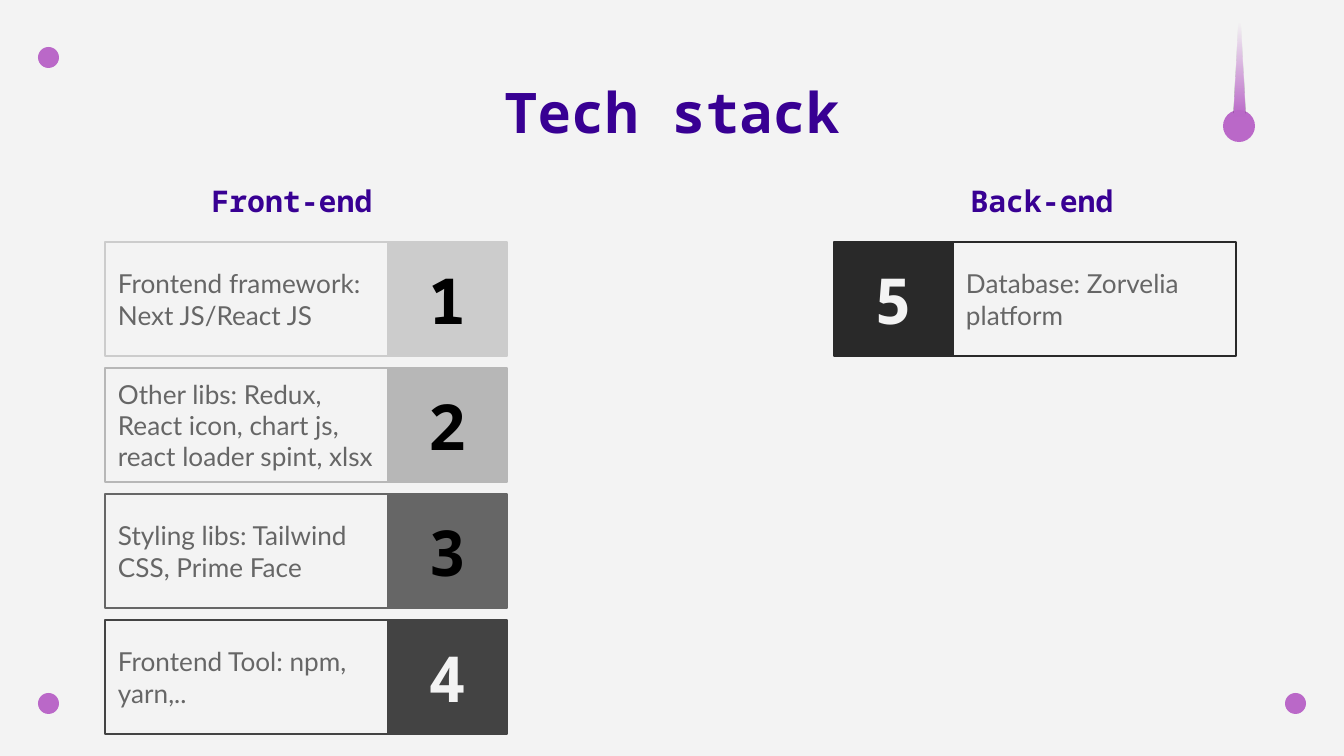
from lxml import etree
from pptx import Presentation
from pptx.dml.color import RGBColor
from pptx.enum.shapes import MSO_SHAPE
from pptx.enum.text import MSO_ANCHOR, PP_ALIGN
from pptx.oxml.ns import qn
from pptx.util import Pt

ELLIPSE, TRIANGLE, RECTANGLE = MSO_SHAPE.OVAL, MSO_SHAPE.ISOSCELES_TRIANGLE, MSO_SHAPE.RECTANGLE
LEFT, CENTER = PP_ALIGN.LEFT, PP_ALIGN.CENTER
MIDDLE, BOTTOM = MSO_ANCHOR.MIDDLE, MSO_ANCHOR.BOTTOM
PX = 914400 / 134.4
MONO, SANS = "Noto Sans Mono", "Lato"
COLORS = {
    "page": "F3F3F3", "orchid": "BA68C8", "indigo": "380093", "body": "666666", "black": "000000",
    "silver": "CCCCCC", "gray": "B7B7B7", "slate": "666666", "charcoal": "434343", "ink": "292929",
}
RGB = {name: RGBColor.from_string(value) for name, value in COLORS.items()}

deck = Presentation()
deck.slide_width, deck.slide_height = round(1344 * PX), round(756 * PX)
page = deck.slides.add_slide(deck.slide_layouts[6])
page.background.fill.solid()
page.background.fill.fore_color.rgb = RGB["page"]


def add_box(kind, bounds, fill=None, line=None):
    box = page.shapes.add_shape(kind, *[round(length * PX) for length in bounds])
    box.shadow.inherit = False
    if fill:
        box.fill.solid()
        box.fill.fore_color.rgb = RGB[fill]
    else:
        box.fill.background()
    if line:
        box.line.color.rgb = RGB[line]
        box.line.width = Pt(0.75)
    else:
        box.line.fill.background()
    return box


def write(box, text, size, font, color, bold=True, align=CENTER, anchor=MIDDLE):
    frame = box.text_frame
    frame.text = text
    frame.word_wrap = True
    frame.vertical_anchor = anchor
    frame.margin_left = frame.margin_right = frame.margin_top = frame.margin_bottom = round(13 * PX)
    para = frame.paragraphs[0]
    para.alignment = align
    span = para.runs[0]
    span.font.size, span.font.name, span.font.bold = Pt(size), font, bold
    span.font.color.rgb = RGB[color]


for left, top, size in [(1223, 110, 32), (1285, 693, 21), (38, 47, 21), (38, 693, 21)]:
    add_box(ELLIPSE, (left, top, size, size), "orchid")

trail = add_box(TRIANGLE, (1234, 0, 11, 117))
trail.fill.gradient()
trail.fill.gradient_angle = 90
for stop, position in zip(trail.fill.gradient_stops, (0, 0.8)):
    stop.color.rgb = RGB["orchid"]
    stop.position = position
end_color = list(trail.element.iter(qn("a:srgbClr")))[-1]
etree.SubElement(end_color, qn("a:alpha")).set("val", "0")

headings = [
    ("Tech stack", (105, 79, 1134, 79), 30, BOTTOM),
    ("Front-end", (164, 184, 256, 33), 16, MIDDLE),
    ("Back-end", (914, 184, 256, 33), 16, MIDDLE),
]
for text, bounds, size, anchor in headings:
    box = page.shapes.add_textbox(*[round(length * PX) for length in bounds])
    write(box, text, size, MONO, "indigo", anchor=anchor)

TOP, PITCH, HEIGHT = 242, 126, 114
TEXT_WIDTH, NUMBER_WIDTH = 283, 119
cards = [
    ("1", "Frontend framework: Next JS/React JS", "silver", "black", 105, 388, 0),
    ("2", "Other libs: Redux, React icon, chart js, react loader spint, xlsx", "gray", "black", 105, 388, 1),
    ("3", "Styling libs: Tailwind CSS, Prime Face", "slate", "black", 105, 388, 2),
    ("4", "Frontend Tool: npm, yarn,..", "charcoal", "page", 105, 388, 3),
    ("5", "Database: Zorvelia platform", "ink", "page", 953, 834, 0),
]
for number, text, shade, number_color, text_left, number_left, row in cards:
    top = TOP + row * PITCH
    label = add_box(RECTANGLE, (text_left, top, TEXT_WIDTH, HEIGHT), line=shade)
    write(label, text, 14, SANS, "body", bold=False, align=LEFT)
    badge = add_box(RECTANGLE, (number_left, top, NUMBER_WIDTH, HEIGHT), shade, shade)
    write(badge, number, 34, MONO, number_color)
    badge.text_frame.paragraphs[0].space_after = Pt(12)

deck.save("out.pptx")
